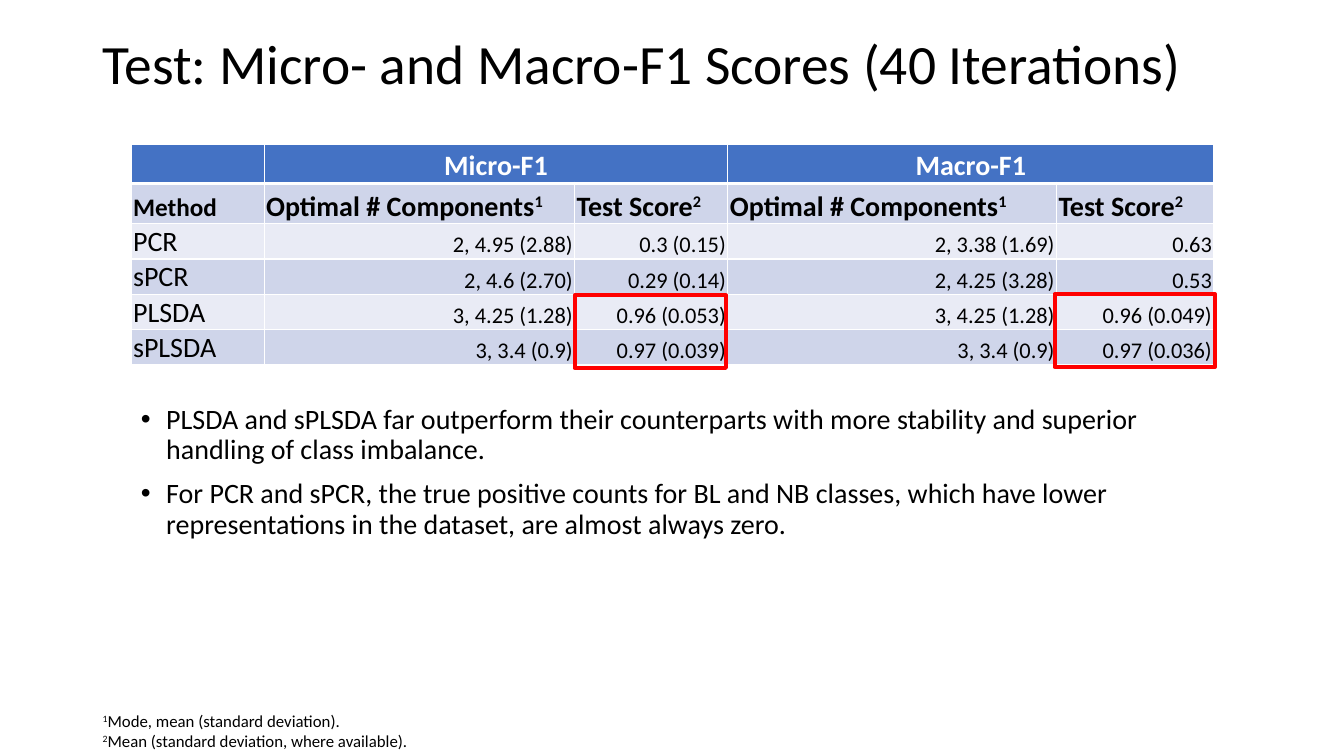
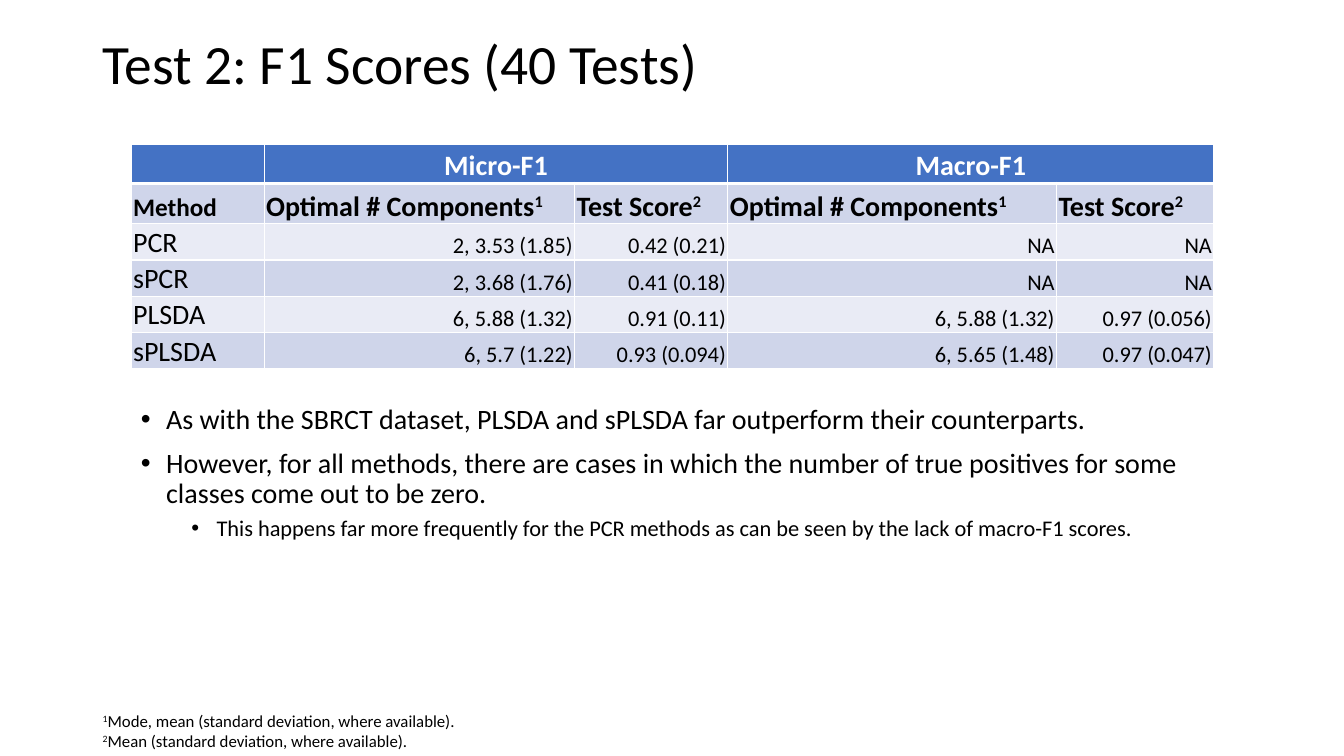
import pptx
import pptx.dml.color
import pptx.enum.shapes
import pptx.enum.text
import pptx.oxml
import pptx.oxml.ns
import pptx.util

Inches = pptx.util.Inches
Pt = pptx.util.Pt
RGBColor = pptx.dml.color.RGBColor
ALIGN = pptx.enum.text.PP_ALIGN
ANCHOR = pptx.enum.text.MSO_ANCHOR

BLACK = RGBColor(0x00, 0x00, 0x00)
WHITE = RGBColor(0xFF, 0xFF, 0xFF)
BLUE = RGBColor(0x44, 0x72, 0xC4)
DARK = RGBColor(0xCF, 0xD5, 0xEA)
LIGHT = RGBColor(0xE9, 0xEB, 0xF5)
RED = RGBColor(0xFF, 0x00, 0x00)

FONT = "Calibri"
LEFT, TOP = 1.3, 1.43
COLS = [1.32, 3.08, 1.52, 3.26, 1.56]
HEADS = [0.39, 0.4]
GROUPS = ["", "Micro-F1", "", "Macro-F1", ""]
LABELS = ["Method"] + ["Optimal # Components^1", "Test Score^2"] * 2

CELL = {
    "margin_left": Inches(0.02),
    "margin_right": Inches(0.02),
    "margin_top": Inches(0.01),
    "margin_bottom": 0,
    "vertical_anchor": ANCHOR.BOTTOM,
}
BULLETS = [
    {"size": 20, "indent": 0.25, "before": 10},
    {"size": 16, "indent": 0.75, "before": 5},
]


def assign(item, values):
    for name, value in values.items():
        setattr(item, name, value)


def add_border(cell, side, width):
    xml = (
        f'<a:{side} {pptx.oxml.ns.nsdecls("a")} w="{Pt(width)}">'
        f'<a:solidFill><a:srgbClr val="{WHITE}"/></a:solidFill></a:{side}>'
    )
    cell._tc.get_or_add_tcPr().append(pptx.oxml.parse_xml(xml))


class Deck:
    def __init__(self):
        self.prs = pptx.Presentation()
        self.prs.slide_width = Inches(13.33)
        self.prs.slide_height = Inches(7.5)
        self.slide = None

    def label(self, para, text, size, color=BLACK, bold=False):
        """Fill a paragraph; pieces between carets are superscript."""
        for i, piece in enumerate(text.split("^")):
            if not piece:
                continue
            run = para.add_run()
            run.text = piece
            assign(run.font, {"name": FONT, "size": Pt(size), "bold": bold})
            run.font.color.rgb = color
            if i % 2:
                run._r.get_or_add_rPr().set("baseline", "30000")

    def box(self, x, y, w, h, count=1):
        """Add a text box and return its frame with count paragraphs."""
        area = map(Inches, (x, y, w, h))
        frame = self.slide.shapes.add_textbox(*area).text_frame
        frame.word_wrap = True
        for _ in range(count - 1):
            frame.add_paragraph()
        return frame

    def start(self, title):
        self.slide = self.prs.slides.add_slide(self.prs.slide_layouts[6])
        frame = self.box(0.92, 0.4, 11.5, 0.52)
        frame.vertical_anchor = ANCHOR.MIDDLE
        frame.paragraphs[0].line_spacing = 0.9
        self.label(frame.paragraphs[0], title, 39.6)

    def notes(self, lines):
        frame = self.box(0.92, 7, 11.82, 0.5, len(lines))
        for i, (para, line) in enumerate(zip(frame.paragraphs, lines), 1):
            self.label(para, f"^{i}^{line}", 12)

    def bullets(self, items):
        frame = self.box(LEFT, 3.97, sum(COLS), 3.01, len(items))
        for para, (level, text) in zip(frame.paragraphs, items):
            style = BULLETS[level]
            assign(para, {
                "level": level,
                "line_spacing": 0.9,
                "space_before": Pt(style["before"]),
            })
            props = para._p.get_or_add_pPr()
            props.set("marL", str(Inches(style["indent"])))
            props.set("indent", str(Inches(-0.25)))
            for tag, key, value in (("buFont", "typeface", "Arial"),
                                    ("buChar", "char", "•")):
                mark = pptx.oxml.parse_xml(
                    f'<a:{tag} {pptx.oxml.ns.nsdecls("a")} {key}="{value}"/>')
                props.append(mark)
            self.label(para, text, style["size"])

    def cell(self, cell, text, row, col):
        assign(cell, CELL)
        for side in ("lnL", "lnR", "lnT", "lnB"):
            thick = (row, side) in ((0, "lnB"), (1, "lnT"))
            add_border(cell, side, 3 if thick else 1)
        cell.fill.solid()
        color, size = BLACK, 20
        para = cell.text_frame.paragraphs[0]
        if row == 0:
            color, fill, para.alignment = WHITE, BLUE, ALIGN.CENTER
        else:
            fill = DARK if row % 2 else LIGHT
        if row == 1 and col == 0:
            size = 18
        elif row > 1 and col > 0:
            size, para.alignment = 16, ALIGN.RIGHT
        cell.fill.fore_color.rgb = fill
        self.label(para, text, size, color, row < 2)

    def table(self, scores, pitch):
        rows = [GROUPS, LABELS] + scores
        highs = HEADS + [pitch] * len(scores)
        area = map(Inches, (LEFT, TOP, sum(COLS), sum(highs)))
        grid = self.slide.shapes.add_table(len(rows), len(COLS), *area).table
        assign(grid, {"first_row": False, "horz_banding": False})
        for col, width in zip(grid.columns, COLS):
            col.width = Inches(width)
        for r, (row, high) in enumerate(zip(rows, highs)):
            grid.rows[r].height = Inches(high)
            for c, text in enumerate(row):
                self.cell(grid.cell(r, c), text, r, c)
        for c in (1, 3):
            grid.cell(0, c).merge(grid.cell(0, c + 1))

    def frame(self, x, y, w, h):
        """Outline an area in red."""
        kind = pptx.enum.shapes.MSO_SHAPE.RECTANGLE
        shape = self.slide.shapes.add_shape(kind, *map(Inches, (x, y, w, h)))
        shape.shadow.inherit = False
        shape.fill.background()
        shape.line.color.rgb = RED
        shape.line.width = Pt(3)


def main():
    deck = Deck()

    deck.start("Test: Micro- and Macro-F1 Scores (40 Iterations)")
    deck.notes(["Mode, mean (standard deviation).",
                "Mean (standard deviation, where available)."])
    deck.table([
        ["PCR", "2, 4.95 (2.88)", "0.3 (0.15)", "2, 3.38 (1.69)", "0.63"],
        ["sPCR", "2, 4.6 (2.70)", "0.29 (0.14)", "2, 4.25 (3.28)", "0.53"],
        ["PLSDA", "3, 4.25 (1.28)", "0.96 (0.053)",
         "3, 4.25 (1.28)", "0.96 (0.049)"],
        ["sPLSDA", "3, 3.4 (0.9)", "0.97 (0.039)",
         "3, 3.4 (0.9)", "0.97 (0.036)"],
    ], 0.35)
    deck.bullets([
        (0, "PLSDA and sPLSDA far outperform their counterparts with more "
            "stability and superior handling of class imbalance."),
        (0, "For PCR and sPCR, the true positive counts for BL and NB "
            "classes, which have lower representations in the dataset, are "
            "almost always zero."),
    ])
    deck.frame(10.46, 2.92, 1.59, 0.72)
    deck.frame(5.7, 2.93, 1.5, 0.72)

    deck.start("Test 2: F1 Scores (40 Tests)")
    deck.table([
        ["PCR", "2, 3.53 (1.85)", "0.42 (0.21)", "NA", "NA"],
        ["sPCR", "2, 3.68 (1.76)", "0.41 (0.18)", "NA", "NA"],
        ["PLSDA", "6, 5.88 (1.32)", "0.91 (0.11)",
         "6, 5.88 (1.32)", "0.97 (0.056)"],
        ["sPLSDA", "6, 5.7 (1.22)", "0.93 (0.094)",
         "6, 5.65 (1.48)", "0.97 (0.047)"],
    ], 0.36)
    deck.notes(["Mode, mean (standard deviation, where available).",
                "Mean (standard deviation, where available)."])
    deck.bullets([
        (0, "As with the SBRCT dataset, PLSDA and sPLSDA far outperform "
            "their counterparts."),
        (0, "However, for all methods, there are cases in which the number "
            "of true positives for some classes come out to be zero."),
        (1, "This happens far more frequently for the PCR methods as can be "
            "seen by the lack of macro-F1 scores."),
    ])

    deck.prs.save("out.pptx")


if __name__ == "__main__":
    main()
